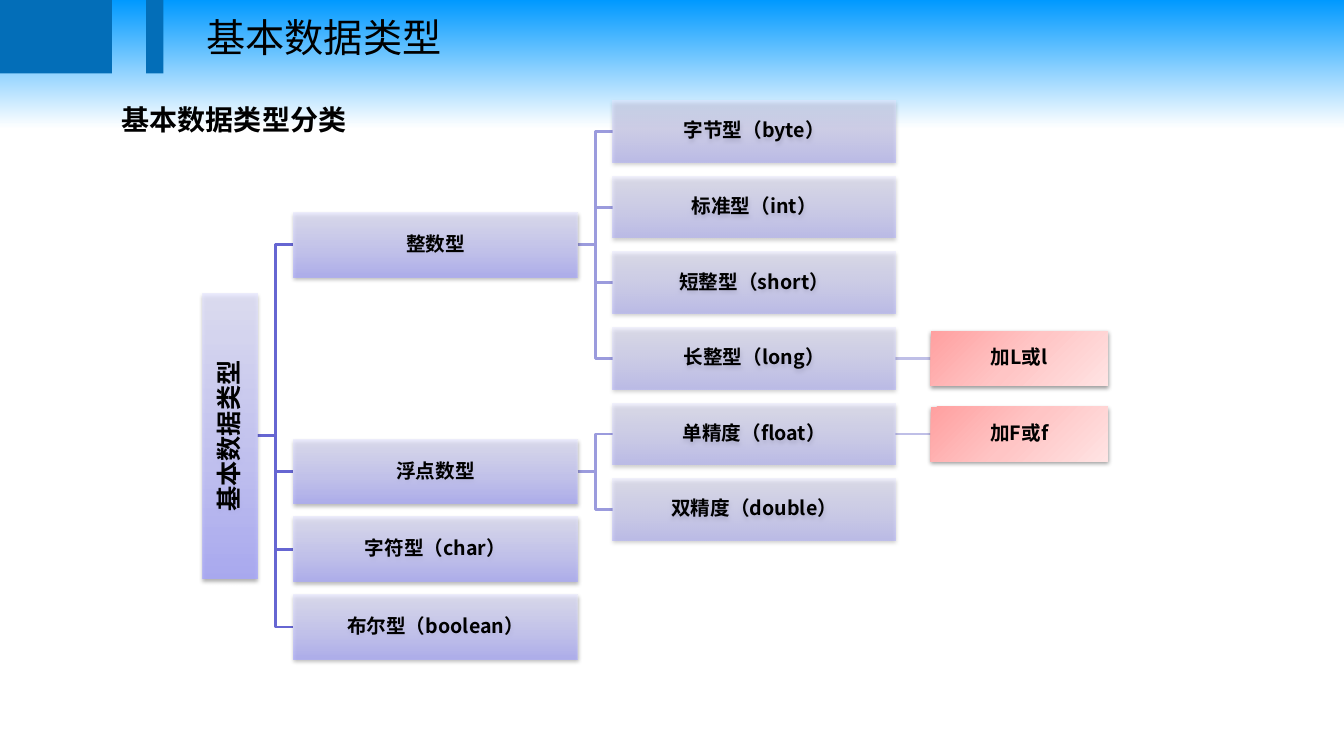
from dataclasses import dataclass

from lxml.etree import SubElement
from pptx import Presentation
from pptx.dml.color import RGBColor
from pptx.enum.shapes import MSO_CONNECTOR, MSO_SHAPE
from pptx.enum.text import MSO_ANCHOR, PP_ALIGN
from pptx.oxml.ns import qn
from pptx.util import Inches, Pt


@dataclass(frozen=True)
class Theme:
    font: str = "Noto Sans CJK SC"
    ink: str = "000000"
    accent: str = "036EB8"
    sky: tuple = ((0, "0099FF"), (17, "FFFFFF"))
    violet: tuple = ((0, "A7A7FF"), (35, "C1C1FF"), (100, "E7E7FF"))
    rose: tuple = ((0, "FFA0A0"), (50, "FFC5C5"), (100, "FFE3E3"))
    links: tuple = ("6666D2", "9B9BDD", "BFBFE7")
    link_width: float = 2
    title_size: int = 28
    heading_size: int = 20
    root_size: int = 18
    node_size: int = 14


@dataclass(frozen=True)
class Level:
    left: float
    width: float
    height: float
    stops: tuple
    angle: int
    opacity: int


THEME = Theme()
ROOT = Level(0, 0.54, 2.83, THEME.violet, 270, 80)
BRANCH = Level(0.9, 2.82, 0.64, THEME.violet, 270, 70)
LEAF = Level(4.07, 2.8, 0.61, THEME.violet, 270, 50)
NOTE = Level(7.22, 1.76, 0.54, THEME.rose, 45, 100)
BRANCH_PITCH = 0.77
LEAF_PITCH = 0.75

TYPES = {
    "整数型": {
        "字节型（byte）": None,
        "标准型（int）": None,
        "短整型（short）": None,
        "长整型（long）": "加L或l",
    },
    "浮点数型": {"单精度（float）": "加F或f", "双精度（double）": None},
    "字符型（char）": {},
    "布尔型（boolean）": {},
}


def set_gradient(fill, element, stops, angle, opacity=100):
    fill.gradient()
    gradient = element.find(".//" + qn("a:gradFill"))
    gradient.set("rotWithShape", "0")
    for child in list(gradient):
        gradient.remove(child)
    stop_list = SubElement(gradient, qn("a:gsLst"))
    for position, color in stops:
        stop = SubElement(stop_list, qn("a:gs"), pos=str(position * 1000))
        color_element = SubElement(stop, qn("a:srgbClr"), val=color)
        if opacity < 100:
            SubElement(color_element, qn("a:alpha"), val=str(opacity * 1000))
    SubElement(gradient, qn("a:lin"), ang=str(angle * 60000), scaled="0")


def add_shadow(shape):
    shape.shadow.inherit = False
    effects = shape.element.find(".//" + qn("a:effectLst"))
    shadow = SubElement(effects, qn("a:outerShdw"), blurRad=str(Pt(3.1)), dist=str(Pt(1.6)),
                        dir=str(90 * 60000), rotWithShape="0")
    color = SubElement(shadow, qn("a:srgbClr"), val=THEME.ink)
    SubElement(color, qn("a:alpha"), val="38000")


def write_text(shape, text, size, bold=False, align=PP_ALIGN.LEFT, anchor=MSO_ANCHOR.TOP,
               inset=None, line_spacing=None, space_after=None):
    frame = shape.text_frame
    frame.word_wrap = True
    frame.vertical_anchor = anchor
    if inset is not None:
        frame.margin_left = frame.margin_right = Inches(inset)
        frame.margin_top = frame.margin_bottom = Inches(inset)
    paragraph = frame.paragraphs[0]
    paragraph.alignment = align
    if line_spacing:
        paragraph.line_spacing = line_spacing
    if space_after:
        properties = shape.element.find(".//" + qn("a:pPr"))
        spacing = SubElement(properties, qn("a:spcAft"))
        SubElement(spacing, qn("a:spcPct"), val=str(space_after * 1000))
    run = paragraph.add_run()
    run.text = text
    run.font.size = Pt(size)
    run.font.bold = bold
    run.font.color.rgb = RGBColor.from_string(THEME.ink)
    run.font.name = THEME.font
    SubElement(shape.element.find(".//" + qn("a:rPr")), qn("a:ea"), typeface=THEME.font)


def add_node(slide, text, level, left, middle, size=THEME.node_size, upright=False):
    width, height = (level.height, level.width) if upright else (level.width, level.height)
    center = left + level.left + level.width / 2
    shape = slide.shapes.add_shape(
        MSO_SHAPE.RECTANGLE, Inches(center - width / 2), Inches(middle - height / 2),
        Inches(width), Inches(height))
    shape.rotation = 270 if upright else 0
    set_gradient(shape.fill, shape.element, level.stops, level.angle, level.opacity)
    shape.line.fill.background()
    add_shadow(shape)
    write_text(shape, text, size, bold=True, align=PP_ALIGN.CENTER, anchor=MSO_ANCHOR.MIDDLE,
               inset=0.01, line_spacing=0.9, space_after=35)


def add_link(slide, left, parent, child, start, end, color):
    kind = MSO_CONNECTOR.STRAIGHT if start == end else MSO_CONNECTOR.ELBOW
    link = slide.shapes.add_connector(
        kind, Inches(left + parent.left + parent.width), Inches(start),
        Inches(left + child.left), Inches(end))
    link.line.color.rgb = RGBColor.from_string(color)
    link.line.width = Pt(THEME.link_width)
    SubElement(link.element.find(qn("p:spPr")), qn("a:effectLst"))


def add_header(slide, left, top, height):
    for offset, width in ((0, 1.11), (1.45, 0.17)):
        bar = slide.shapes.add_shape(MSO_SHAPE.RECTANGLE, Inches(left + offset), Inches(top),
                                     Inches(width), Inches(height))
        bar.shadow.inherit = False
        bar.fill.solid()
        bar.fill.fore_color.rgb = RGBColor.from_string(THEME.accent)
        bar.line.fill.background()
    title = slide.shapes.add_textbox(Inches(left + 1.95), Inches(top + 0.08),
                                     Inches(5.77), Inches(0.57))
    write_text(title, "基本数据类型", THEME.title_size)


def add_heading(slide, left, top, width, height):
    heading = slide.shapes.add_textbox(Inches(left), Inches(top), Inches(width), Inches(height))
    write_text(heading, "基本数据类型分类", THEME.heading_size, bold=True)


def add_type_tree(slide, left, top):
    nodes, links, branch_middles = [], [], []
    leaf_middle = top + LEAF.height / 2
    for branch, leaves in TYPES.items():
        middles = [leaf_middle + LEAF_PITCH * index for index in range(len(leaves))]
        if middles:
            middle = (middles[0] + middles[-1]) / 2
            leaf_middle = middles[-1] + LEAF_PITCH
        else:
            middle = branch_middles[-1] + BRANCH_PITCH
        branch_middles.append(middle)
        nodes.append((branch, BRANCH, middle))
        for (leaf, note), position in zip(leaves.items(), middles):
            links.append((BRANCH, LEAF, middle, position, THEME.links[1]))
            nodes.append((leaf, LEAF, position))
            if note:
                links.append((LEAF, NOTE, position, position, THEME.links[2]))
                nodes.append((note, NOTE, position))
    root_middle = (branch_middles[0] + branch_middles[-1]) / 2
    for middle in branch_middles:
        links.append((ROOT, BRANCH, root_middle, middle, THEME.links[0]))
    for parent, child, start, end, color in links:
        add_link(slide, left, parent, child, start, end, color)
    add_node(slide, "基本数据类型", ROOT, left, root_middle, size=THEME.root_size, upright=True)
    for text, level, middle in nodes:
        add_node(slide, text, level, left, middle)


def main():
    presentation = Presentation()
    presentation.slide_width = Inches(13.33)
    presentation.slide_height = Inches(7.5)
    slide = presentation.slides.add_slide(presentation.slide_layouts[6])
    set_gradient(slide.background.fill, slide.element, THEME.sky, 90)
    add_header(slide, 0, 0, 0.73)
    add_type_tree(slide, 2.01, 1)
    add_heading(slide, 1.11, 0.97, 4.13, 0.44)
    presentation.save("out.pptx")


if __name__ == "__main__":
    main()
